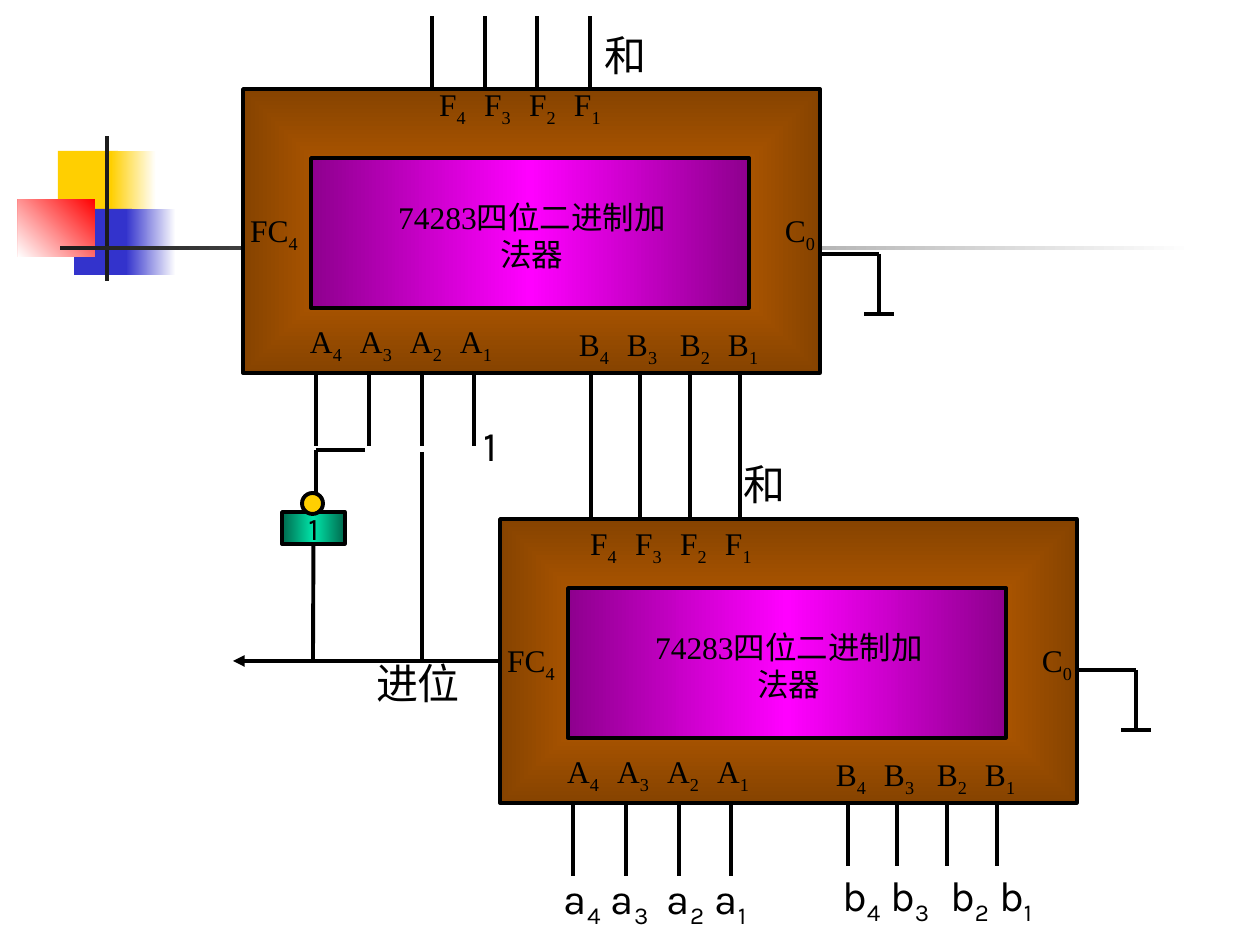
from dataclasses import dataclass

from lxml.etree import SubElement
from pptx import Presentation
from pptx.dml.color import RGBColor
from pptx.enum.shapes import MSO_CONNECTOR, MSO_SHAPE
from pptx.enum.text import MSO_ANCHOR, PP_ALIGN
from pptx.oxml import parse_xml
from pptx.oxml.ns import nsdecls, qn
from pptx.util import Emu, Pt

PX = 914400 / 126


@dataclass(frozen=True)
class Theme:
    ink: str = "000000"
    yellow: str = "FFCF01"
    blue: str = "3333CC"
    red: str = "FF0000"
    white: str = "FFFFFF"
    bar: str = "1C1C1C"
    case: tuple = ("CC6600", "864300")
    core: tuple = ("8E008E", "FF00FF", "8E008E")
    gate: tuple = ("00694D", "00E4A8", "00694D")
    chip_font: str = "Times New Roman"
    label_font: str = "Karla"
    pin_size: int = 18
    label_size: int = 24
    wire: float = 2.25
    outline: float = 2


THEME = Theme()


def px(value):
    return Emu(round(value * PX))


def gradient(shape, colors, angle=180):
    """Fill with evenly spaced stops; an angle of None spreads from the centre."""
    last = len(colors) - 1
    stops = "".join(
        f'<a:gs pos="{100000 * i // last}"><a:srgbClr val="{color}"/></a:gs>'
        for i, color in enumerate(colors))
    if angle is None:
        course = '<a:path path="rect"><a:fillToRect l="50000" t="50000" r="50000" b="50000"/></a:path>'
    else:
        course = f'<a:lin ang="{angle * 60000}" scaled="0"/>'
    fill = parse_xml(f'<a:gradFill {nsdecls("a")}><a:gsLst>{stops}</a:gsLst>{course}</a:gradFill>')
    shape._element.spPr.find(qn("a:prstGeom")).addnext(fill)


def add_block(slide, box, color, outline=None, angle=180, kind=MSO_SHAPE.RECTANGLE):
    shape = slide.shapes.add_shape(kind, *map(px, box))
    shape.shadow.inherit = False
    if isinstance(color, tuple):
        gradient(shape, color, angle)
    else:
        shape.fill.solid()
        shape.fill.fore_color.rgb = RGBColor.from_string(color)
    if outline:
        shape.line.color.rgb = RGBColor.from_string(THEME.ink)
        shape.line.width = Pt(outline)
    else:
        shape.line.fill.background()
    return shape


def add_wire(slide, x1, y1, x2, y2, arrow=False):
    wire = slide.shapes.add_connector(MSO_CONNECTOR.STRAIGHT, px(x1), px(y1), px(x2), px(y2))
    wire.line.color.rgb = RGBColor.from_string(THEME.ink)
    wire.line.width = Pt(THEME.wire)
    properties = wire._element.spPr
    if arrow:
        SubElement(properties.find(qn("a:ln")), qn("a:tailEnd"), type="triangle")
    SubElement(properties, qn("a:effectLst"))
    return wire


def add_run(paragraph, text, font, size, subscript=False):
    run = paragraph.add_run()
    run.text = text
    run.font.name = font
    run.font.size = Pt(size)
    run.font.color.rgb = RGBColor.from_string(THEME.ink)
    if subscript:
        run._r.get_or_add_rPr().set("baseline", "-25000")


def add_text(slide, box, font, size, inset=0, wrap=True, middle=False, centred=False):
    """Add an empty text box and return its paragraph."""
    frame = slide.shapes.add_textbox(*map(px, box)).text_frame
    frame.word_wrap = wrap
    frame.margin_left, frame.margin_right = px(inset), 0
    frame.vertical_anchor = MSO_ANCHOR.MIDDLE if middle else MSO_ANCHOR.TOP
    paragraph = frame.paragraphs[0]
    paragraph.alignment = PP_ALIGN.CENTER if centred else PP_ALIGN.LEFT
    return paragraph


def add_label(slide, box, text):
    paragraph = add_text(slide, box, THEME.label_font, THEME.label_size, inset=13)
    add_run(paragraph, text, THEME.label_font, THEME.label_size)


def add_pin(slide, box, name, index):
    paragraph = add_text(slide, box, THEME.chip_font, THEME.pin_size, middle=True, centred=True)
    add_run(paragraph, name, THEME.chip_font, THEME.pin_size)
    add_run(paragraph, index, THEME.chip_font, THEME.pin_size, subscript=True)


def add_pin_row(slide, box, name, inset, stops, font=THEME.chip_font, size=THEME.pin_size, middle=True):
    """Write name4 to name1, spaced by tab stops."""
    paragraph = add_text(slide, box, font, size, inset, middle=middle)
    tabs = SubElement(paragraph._p.get_or_add_pPr(), qn("a:tabLst"))
    for stop in stops:
        SubElement(tabs, qn("a:tab"), pos=str(px(stop)), algn="l")
    for index in "4321":
        add_run(paragraph, name, font, size)
        add_run(paragraph, index if index == "1" else index + "\t", font, size, subscript=True)


def draw_decoration(slide, left, top):
    white = THEME.white
    for (x, y, width, height), color, angle in (
            ((40, 15, 60, 66), THEME.yellow, 180),
            ((93, 15, 45, 66), (white, THEME.yellow), 180),
            ((56, 73, 58, 66), THEME.blue, 180),
            ((108, 73, 50, 66), (white, THEME.blue), 180),
            ((0, 63, 77, 58), (THEME.red, white), 135),
            ((87, 0, 4, 145), THEME.bar, 180),
            ((42, 110, 1134, 4), (white, THEME.bar), 180)):
        add_block(slide, (left + x, top + y, width, height), color, angle=angle)


def draw_adder(slide, box, f_left, f_top, ground_top, b_wire):
    left, top, width, height = box
    right, bottom = left + width, top + height
    case = add_block(slide, box, THEME.case, THEME.outline, angle=None)
    add_block(slide, (left + 68, top + 69, 438, 150), THEME.core, THEME.outline)
    title = add_text(slide, (left + 151, top + 120, 276, 53), THEME.chip_font, THEME.pin_size,
                     wrap=False, middle=True, centred=True)
    add_run(title, "74283四位二进制加法器", THEME.chip_font, THEME.pin_size)

    # Pin names
    add_pin(slide, (left, top + 126, 62, 35), "FC", "4")
    add_pin(slide, (left + 526, top + 126, 62, 35), "C", "0")
    add_pin_row(slide, (left + f_left, top + f_top, 220, 35), "F", 29, (45, 90, 135))
    add_pin_row(slide, (left + 47, top + 237, 220, 35), "A", 20, (50, 100, 150))
    add_pin_row(slide, (left + 294, top + 234, 262, 47), "B", 42, (48, 101, 149))

    # Input wires
    for x in (73, 126, 179, 231):
        add_wire(slide, left + x, bottom + 73, left + x, bottom)
    for x in (348, 397, 447, 497):
        add_wire(slide, left + x, bottom + b_wire, left + x, bottom)

    # Grounded carry input
    ground, y = right + 59, top + ground_top
    add_wire(slide, ground, y, right, y)
    add_wire(slide, ground, y, ground, y + 60)
    add_wire(slide, ground + 15, y + 60, ground - 15, y + 60)
    return case


def draw_correction(slide, left, top):
    """Inverter and the wires that feed the carry back to the A inputs."""
    gate = add_block(slide, (left, top + 62, 63, 32), THEME.gate, THEME.outline)
    gate.text_frame.vertical_anchor = MSO_ANCHOR.MIDDLE
    gate.text_frame.word_wrap = False
    paragraph = gate.text_frame.paragraphs[0]
    paragraph.alignment = PP_ALIGN.CENTER
    add_run(paragraph, "1", THEME.label_font, THEME.pin_size)
    add_wire(slide, left + 31, top + 211, left + 31, top + 94).end_connect(gate, 2)
    add_wire(slide, left + 34, top + 43, left + 34, top)
    add_wire(slide, left + 34, top, left + 83, top)
    add_wire(slide, left + 140, top + 2, left + 140, top + 211)
    add_block(slide, (left + 20, top + 43, 21, 21), THEME.yellow, THEME.wire,
              kind=MSO_SHAPE.FLOWCHART_CONNECTOR)
    add_label(slide, (left + 189, top - 37, 48, 63), "1")


def main():
    presentation = Presentation()
    presentation.slide_width, presentation.slide_height = px(1260), px(945)
    slide = presentation.slides.add_slide(presentation.slide_layouts[6])

    draw_decoration(slide, 18, 136)

    # Two adders: the lower one feeds the B inputs of the upper one
    draw_adder(slide, (243, 89, 577, 284), 167, 0, 165, 146)
    lower = draw_adder(slide, (500, 519, 577, 284), 61, 9, 151, 63)
    for x in (432, 485, 537, 590):
        add_wire(slide, x, 89, x, 16)
    add_wire(slide, 500, 661, 233, 661, arrow=True).begin_connect(lower, 1)
    draw_correction(slide, 282, 450)

    # Outer labels
    add_label(slide, (591, 23, 67, 63), "和")
    add_label(slide, (730, 452, 67, 63), "和")
    add_label(slide, (363, 651, 108, 63), "进位")
    for box, name, stops in (((551, 866, 229, 70), "a", (47, 103, 151)),
                             ((829, 863, 231, 70), "b", (48, 108, 157))):
        add_pin_row(slide, box, name, 13, stops, THEME.label_font, THEME.label_size, middle=False)

    presentation.save("out.pptx")


if __name__ == "__main__":
    main()
